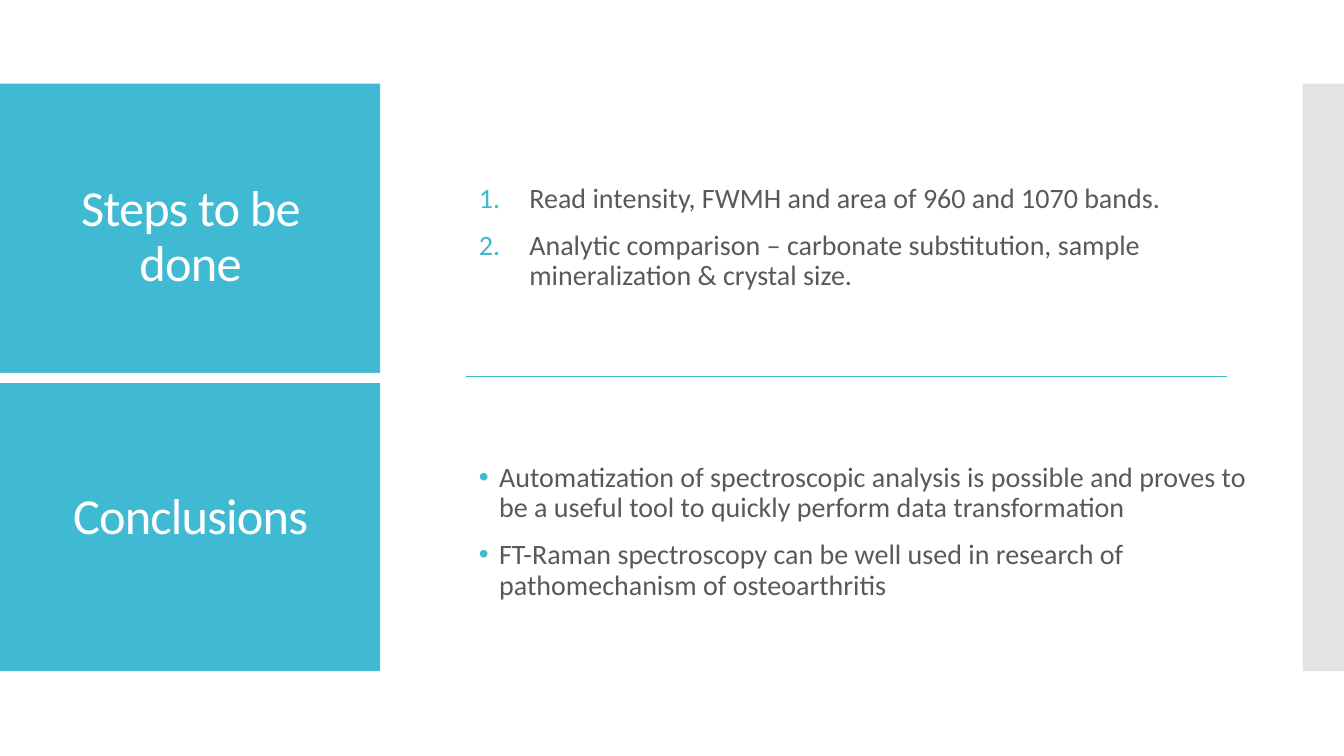
import pptx
import pptx.dml.color
import pptx.enum.shapes
import pptx.enum.text
import pptx.oxml
import pptx.oxml.ns
import pptx.util
from lxml import etree

Inches = pptx.util.Inches
ACCENT = "40BAD2"
WHITE = "FFFFFF"
PANEL_TOP = 0.83
PANEL_HEIGHT = 5.83


def color(hex_string):
    """Turn a hex string into a colour."""
    return pptx.dml.color.RGBColor.from_string(hex_string)


def place(shape, box):
    """Move a shape to a box of left, top, width and height in inches."""
    shape.left, shape.top, shape.width, shape.height = map(Inches, box)


def add_xml(parent, tag, **attributes):
    """Append a drawing element to a parent and return it."""
    return etree.SubElement(parent, pptx.oxml.ns.qn(tag), attributes)


def add_panel(slide, box, fill, alpha=None):
    """Add a plain rectangle, optionally translucent."""
    rectangle = pptx.enum.shapes.MSO_SHAPE.RECTANGLE
    panel = slide.shapes.add_shape(rectangle, *map(Inches, box))
    panel.shadow.inherit = False
    panel.line.fill.background()
    panel.fill.solid()
    panel.fill.fore_color.rgb = color(fill)
    if alpha is not None:
        fill_color = panel.element.spPr.find(".//" + pptx.oxml.ns.qn("a:srgbClr"))
        add_xml(fill_color, "a:alpha", val=str(alpha * 1000))
    return panel


def format_text(shape, text, size, text_color):
    """Write text into a shape, centred vertically, and format its runs."""
    frame = shape.text_frame
    frame.text = text
    frame.word_wrap = True
    frame.auto_size = pptx.enum.text.MSO_AUTO_SIZE.NONE
    frame.vertical_anchor = pptx.enum.text.MSO_ANCHOR.MIDDLE
    for paragraph in frame.paragraphs:
        paragraph.line_spacing = 0.9
        for run in paragraph.runs:
            run.font.name = "Calibri"
            run.font.size = pptx.util.Pt(size)
            run.font.color.rgb = color(text_color)


def fill_heading(shape, box, text):
    """Place a white centred heading with tightened letters."""
    place(shape, box)
    format_text(shape, text, 36, WHITE)
    for paragraph in shape.text_frame.paragraphs:
        paragraph.alignment = pptx.enum.text.PP_ALIGN.CENTER
        for run in paragraph.runs:
            run.font._element.set("spc", "-60")


def fill_list(shape, box, items, indent, numbered=False):
    """Place a numbered or bulleted list with accent markers."""
    place(shape, box)
    format_text(shape, "\n".join(items), 20, "595959")
    for paragraph in shape.text_frame.paragraphs:
        paragraph.alignment = pptx.enum.text.PP_ALIGN.LEFT
        paragraph.space_before = pptx.util.Pt(12)
        paragraph.space_after = pptx.util.Pt(0)
        properties = paragraph._p.get_or_add_pPr()
        properties.set("marL", str(Inches(indent)))
        properties.set("indent", str(-Inches(indent)))
        add_xml(add_xml(properties, "a:buClr"), "a:srgbClr", val=ACCENT)
        if numbered:
            add_xml(properties, "a:buFont", typeface="+mj-lt")
            add_xml(properties, "a:buAutoNum", type="arabicPeriod")
        else:
            add_xml(properties, "a:buFont", typeface="Arial")
            add_xml(properties, "a:buChar", char="•")


def add_divider(slide, left, top, width):
    """Add a thin horizontal accent line."""
    straight = pptx.enum.shapes.MSO_CONNECTOR.STRAIGHT
    line = slide.shapes.add_connector(
        straight, Inches(left), Inches(top), Inches(left + width), Inches(top))
    line.line.color.rgb = color(ACCENT)
    line.line.width = pptx.util.Pt(0.75)
    add_xml(line.element.spPr, "a:effectLst")


def build_slide(presentation):
    """Build the slide of next steps and conclusions."""
    slide = presentation.slides.add_slide(presentation.slide_layouts[3])
    title, steps, conclusions = slide.placeholders
    backdrop = (
        add_panel(slide, (0, PANEL_TOP, 3.77, PANEL_HEIGHT), ACCENT),
        add_panel(slide, (12.92, PANEL_TOP, 0.41, PANEL_HEIGHT), "C8C8C8", alpha=50),
        add_panel(slide, (0, 3.7, 12.46, 0.1), WHITE),
    )
    for panel in backdrop:
        title.element.addprevious(panel.element)

    fill_heading(title, (0.28, 1.53, 3.22, 1.66), "Steps to be done")
    fill_list(steps, (4.65, 1.39, 8, 1.94), (
        "Read intensity, FWMH and area of 960 and 1070 bands.",
        "Analytic comparison – carbonate substitution, sample mineralization & crystal size.",
    ), indent=0.5, numbered=True)

    box = (0.28, 4.31, 3.22, 1.66)
    fill_heading(slide.shapes.add_textbox(*map(Inches, box)), box, "Conclusions")
    fill_list(conclusions, (4.65, 4.31, 8, 1.94), (
        "Automatization of spectroscopic analysis is possible and proves to be "
        "a useful tool to quickly perform data transformation",
        "FT-Raman spectroscopy can be well used in research of "
        "pathomechanism of osteoarthritis",
    ), indent=0.2)
    add_divider(slide, 4.62, 3.74, 7.55)


def main():
    """Create and save the presentation."""
    presentation = pptx.Presentation()
    presentation.slide_width = Inches(13.33)
    presentation.slide_height = Inches(7.5)
    build_slide(presentation)
    presentation.save("out.pptx")


if __name__ == "__main__":
    main()
